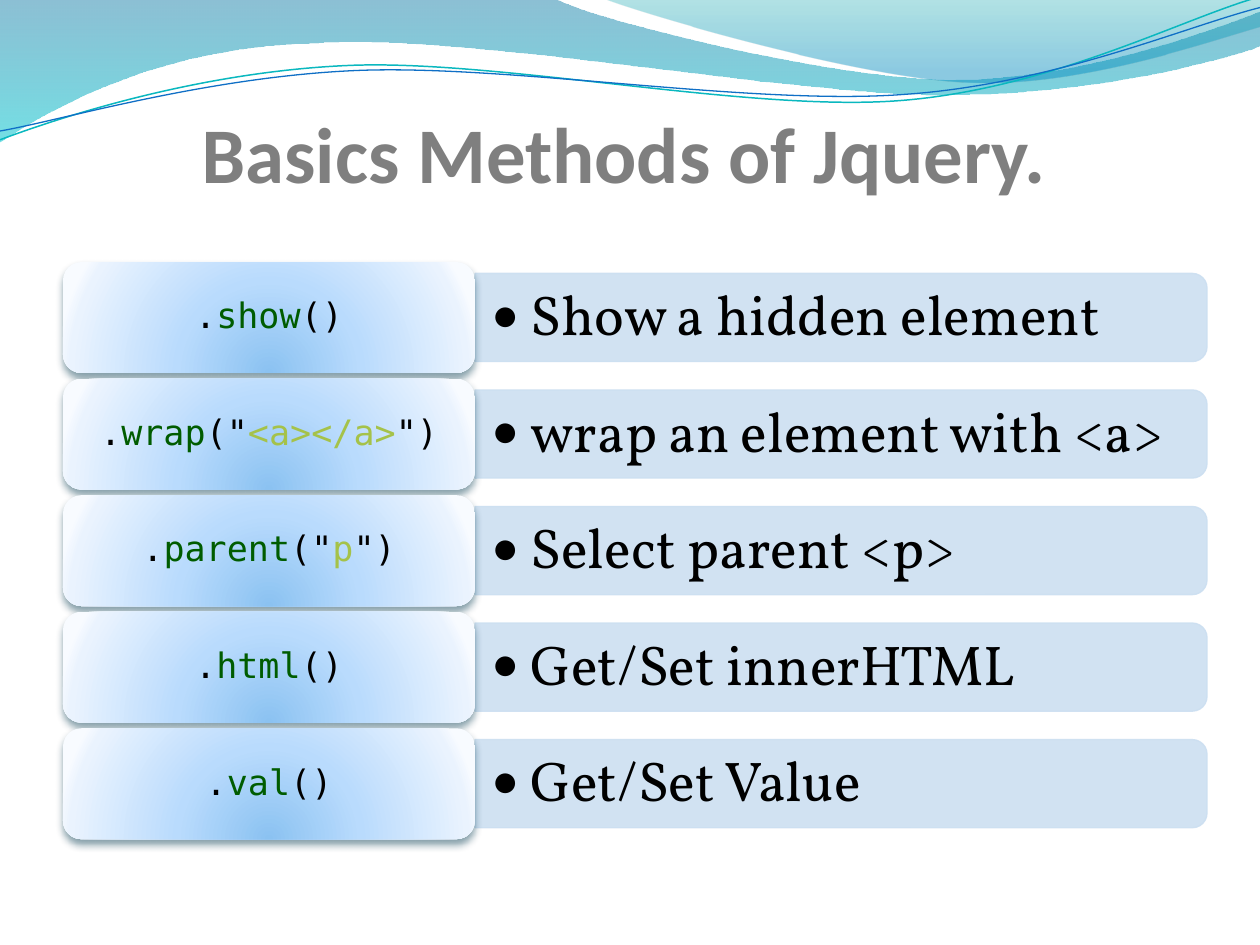
from pptx import Presentation
from pptx.dml.color import RGBColor
from pptx.enum.shapes import MSO_SHAPE as SHAPE
from pptx.enum.text import MSO_ANCHOR as ANCHOR, PP_ALIGN as ALIGN
from pptx.oxml import parse_xml
from pptx.oxml.ns import nsdecls, qn
from pptx.oxml.xmlchemy import OxmlElement
from pptx.util import Inches, Pt

COLORS = {
    "title": "595959", "text": "000000", "method": "005C00", "value": "A5C249",
    "bar": "CCDFF1", "shadow": "00374C", "teal": "0AB8BF", "blue": "0F6FC6",
}
# Gradient stops: position, colour, opacity (all in percent)
BIG_WAVE = [(0, "0074A1", 45), (100, "00C6CF", 55)]
SMALL_WAVE = [(0, "00A1A9", 30), (80, "008BBF", 45)]
BUTTON = [(0, "8BC2F1", 100), (43, "B9DBFD", 100),
          (93, "EAF3FE", 100), (100, "F8FBFF", 100)]
DOWN = '<a:lin ang="5400000" scaled="0"/>'
GLOW = ('<a:path path="circle">'
        '<a:fillToRect l="50000" t="130000" r="50000" b="-30000"/></a:path>')

# Method call as (text, colour) runs, then what it does
ROWS = [
    ([(".", "text"), ("show", "method"), ("()", "text")], "Show a hidden element"),
    ([(".", "text"), ("wrap", "method"), ('("', "text"), ("<a></a>", "value"),
      ('")', "text")], "wrap an element with <a>"),
    ([(".", "text"), ("parent", "method"), ('("', "text"), ("p", "value"),
      ('")', "text")], "Select parent <p>"),
    ([(".", "text"), ("html", "method"), ("()", "text")], "Get/Set innerHTML"),
    ([(".", "text"), ("val", "method"), ("()", "text")], "Get/Set Value"),
]


def rgb(name):
    return RGBColor.from_string(COLORS[name])


def set_alpha(parent, percent):
    for clr in parent.iter(qn("a:srgbClr")):
        alpha = OxmlElement("a:alpha")
        alpha.set("val", str(percent * 1000))
        clr.append(alpha)


def set_gradient(sp, stops, direction):
    gs = "".join(
        f'<a:gs pos="{pos * 1000}"><a:srgbClr val="{color}">'
        f'<a:alpha val="{alpha * 1000}"/></a:srgbClr></a:gs>'
        for pos, color, alpha in stops)
    sp.fill.background()
    spPr = sp._element.spPr
    spPr.replace(spPr.find(qn("a:noFill")), parse_xml(
        f'<a:gradFill {nsdecls("a")} rotWithShape="1">'
        f'<a:gsLst>{gs}</a:gsLst>{direction}</a:gradFill>'))


def add_shadow(sp):
    sp._element.spPr.append(parse_xml(
        f'<a:effectLst {nsdecls("a")}><a:outerShdw blurRad="{Pt(4.5)}" '
        f'dist="{Pt(3)}" dir="5400000" rotWithShape="0">'
        f'<a:srgbClr val="{COLORS["shadow"]}"><a:alpha val="48000"/></a:srgbClr>'
        '</a:outerShdw></a:effectLst>'))


def add_outline(slide, box, segments, close):
    """Draw segments of one point (a line) or three (a curve)."""
    x, y = box
    pts = [(Inches(x + px), Inches(y + py)) for seg in segments for px, py in seg]
    builder = slide.shapes.build_freeform(*pts[0])
    builder.add_line_segments(pts[1:], close=close)
    sp = builder.convert_to_shape()
    sp.shadow.inherit = False

    # Join each three-point segment into one cubic curve
    steps = iter(list(sp._element.iter(qn("a:lnTo"))))
    for seg in segments[1:]:
        parts = [next(steps) for _ in seg]
        if len(parts) == 3:
            curve = OxmlElement("a:cubicBezTo")
            parts[0].addprevious(curve)
            for part in parts:
                curve.append(part[0])
                part.getparent().remove(part)
    return sp


def add_waves(slide, box):
    bands = [
        (BIG_WAVE, [
            [(0, 0)], [(4.4, -0.01)],
            [(4.76, 0.17), (6.64, 0.63), (7.58, 0.63)],
            [(8.53, 0.63), (9.58, 0.26), (10, 0.09)], [(10.01, 0.36)],
            [(9.83, 0.44), (8.7, 0.76), (7.46, 0.75)],
            [(6.22, 0.75), (3.82, 0.28), (2.57, 0.34)],
            [(1.29, 0.36), (0.46, 0.83), (-0.01, 1.13)], [(0, 0)]]),
        (SMALL_WAVE, [
            [(4.79, -0.01)],
            [(5.09, 0.11), (6.82, 0.62), (7.69, 0.65)],
            [(8.56, 0.69), (9.61, 0.32), (10, 0.21)], [(10, 0)], [(4.79, -0.01)]]),
    ]
    for stops, segments in bands:
        sp = add_outline(slide, box, segments, True)
        set_gradient(sp, stops, DOWN)
        sp.line.fill.background()

    lines = [
        ("teal", 0.85, [
            [(0, 1.11)], [(0.48, 0.93), (1.58, 0.57), (2.77, 0.52)],
            [(3.95, 0.47), (5.93, 0.89), (7.13, 0.8)],
            [(8.33, 0.71), (9.38, 0.15), (9.98, -0.02)]]),
        ("blue", 0.75, [
            [(0, 1.04)], [(0.47, 0.96), (1.64, 0.61), (2.83, 0.56)],
            [(4.03, 0.51), (5.97, 0.84), (7.17, 0.75)],
            [(8.36, 0.67), (9.41, 0.21), (10, 0.06)]]),
    ]
    for color, width, segments in lines:
        sp = add_outline(slide, box, segments, False)
        sp.fill.background()
        sp.line.color.rgb = rgb(color)
        sp.line.width = Pt(width)


def add_text(slide, box, runs, font, size, insets, anchor=ANCHOR.MIDDLE, bold=False):
    """Add a one-paragraph text box and return the paragraph."""
    tf = slide.shapes.add_textbox(*map(Inches, box)).text_frame
    tf.word_wrap = True
    tf.vertical_anchor = anchor
    tf.margin_left, tf.margin_top, tf.margin_right, tf.margin_bottom = map(Inches, insets)
    p = tf.paragraphs[0]
    for text, color in runs:
        r = p.add_run()
        r.text = text
        r.font.name, r.font.size, r.font.bold = font, Pt(size), bold
        r.font.color.rgb = rgb(color)
    return p


def add_title(slide, box):
    p = add_text(slide, box, [("Basics Methods of Jquery.", "title")], "Calibri", 45,
                 (0, 0, 0.02, 0), ANCHOR.BOTTOM, True)
    p.alignment = ALIGN.CENTER
    set_alpha(p._p, 76)


def add_bullet(p):
    pPr = p._p.get_or_add_pPr()
    pPr.set("marL", str(Inches(0.31)))
    pPr.set("indent", str(-Inches(0.31)))
    for tag, key, value in [("a:buFont", "typeface", "Calibri"), ("a:buChar", "char", "•")]:
        el = OxmlElement(tag)
        el.set(key, value)
        pPr.append(el)


def add_row(slide, box, call, meaning):
    x, y, w, h = box
    button_w, bar_h = 3.27, 0.7
    bar_x, bar_w = x + button_w, w - button_w
    mid = y + h / 2

    # Bar: an upright shape turned so that its round corners face right
    sp = slide.shapes.add_shape(
        SHAPE.ROUND_2_SAME_RECTANGLE, Inches(bar_x + (bar_w - bar_h) / 2),
        Inches(mid - bar_w / 2), Inches(bar_h), Inches(bar_w))
    sp.rotation = 90
    sp.shadow.inherit = False
    sp.fill.solid()
    sp.fill.fore_color.rgb = sp.line.color.rgb = rgb("bar")
    sp.line.width = Pt(0.75)
    set_alpha(sp._element.spPr, 90)
    p = add_text(slide, (bar_x, mid - 0.32, bar_w - 0.03, 0.64), [(meaning, "text")],
                 "Vollkorn", 32, (0.13, 0.07, 0.13, 0.07))
    p.level = 1
    p.line_spacing = 0.9
    add_bullet(p)

    # Button with the method call
    sp = slide.shapes.add_shape(SHAPE.ROUNDED_RECTANGLE,
                                *map(Inches, (x, y, button_w, h)))
    set_gradient(sp, BUTTON, GLOW)
    sp.line.fill.background()
    add_shadow(sp)
    p = add_text(slide, (x + 0.04, y + 0.04, button_w - 0.08, h - 0.08), call,
                 "DejaVu Sans Mono", 20, (0.08, 0.04, 0.08, 0.04))
    p.alignment = ALIGN.CENTER
    p.line_spacing = 0.9


def add_methods(slide, box):
    x, y, w, h = box
    row_h = 0.88
    pitch = (h - row_h) / (len(ROWS) - 1)
    for i, (call, meaning) in enumerate(ROWS):
        add_row(slide, (x, y + i * pitch, w, row_h), call, meaning)


def main():
    prs = Presentation()
    prs.slide_width, prs.slide_height = Inches(10), Inches(7.5)
    slide = prs.slides.add_slide(prs.slide_layouts[6])
    add_waves(slide, (0, 0))
    add_title(slide, (0.17, 0.62, 9.58, 0.96))
    add_methods(slide, (0.5, 2.08, 9.08, 4.58))
    prs.save("out.pptx")


if __name__ == "__main__":
    main()
